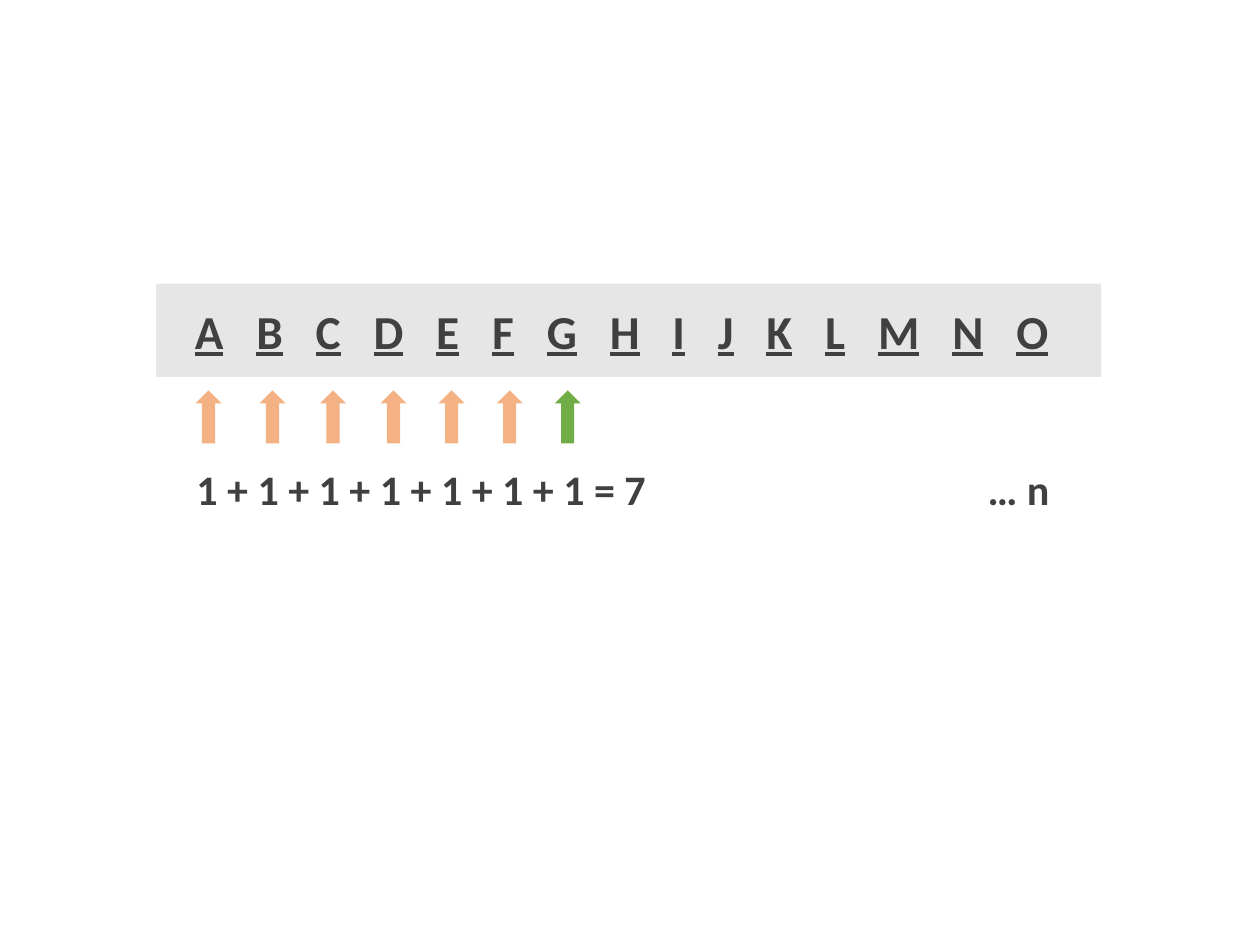
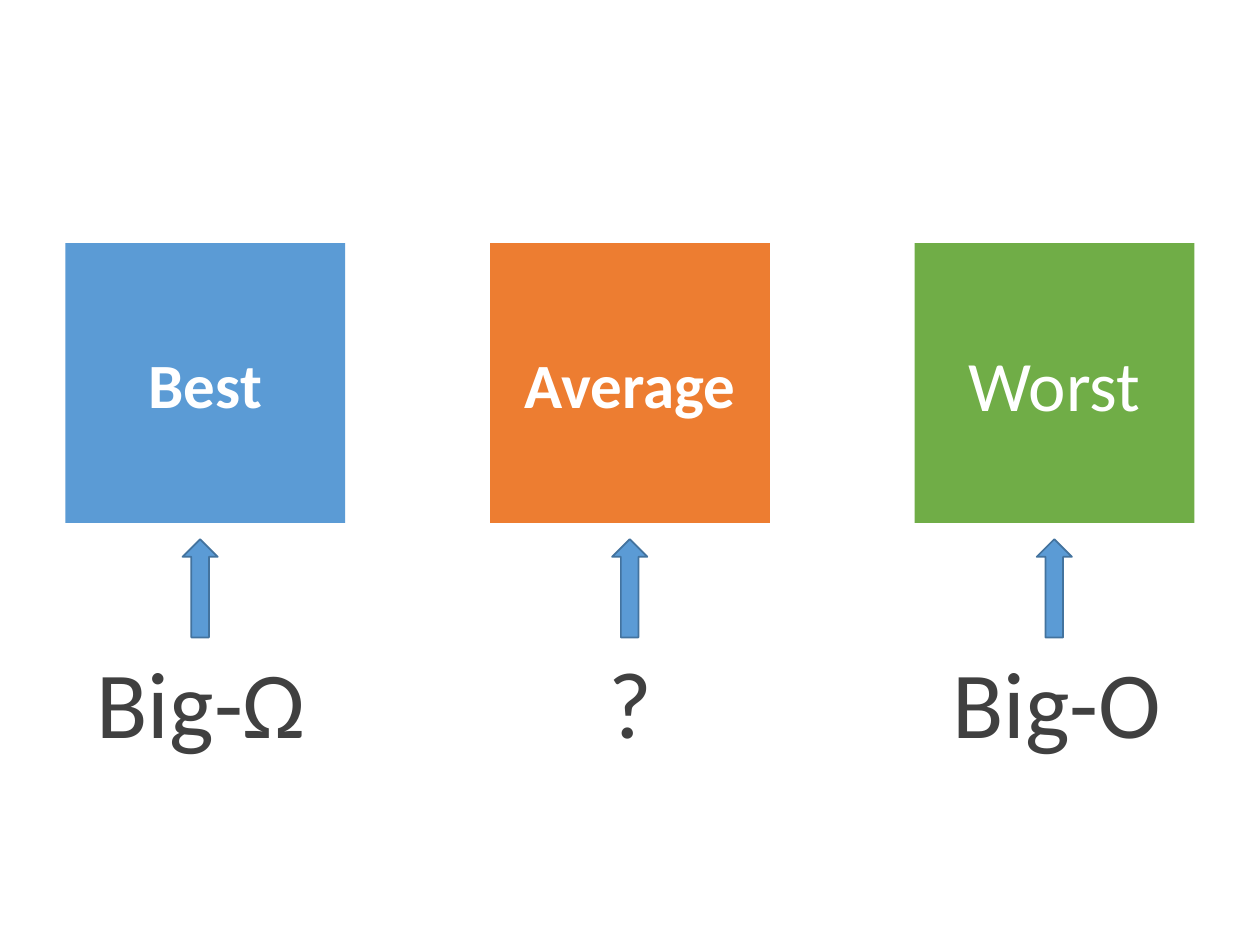
from pptx import Presentation
from pptx.dml.color import RGBColor
from pptx.enum.shapes import MSO_SHAPE
from pptx.enum.text import MSO_ANCHOR, MSO_AUTO_SIZE, PP_ALIGN
from pptx.util import Cm, Pt

RECTANGLE, UP_ARROW = MSO_SHAPE.RECTANGLE, MSO_SHAPE.UP_ARROW
MIDDLE, FIT_SHAPE = MSO_ANCHOR.MIDDLE, MSO_AUTO_SIZE.SHAPE_TO_FIT_TEXT
CENTER = PP_ALIGN.CENTER

FONT = "Calibri"
DARK, WHITE, PALE = "404040", "FFFFFF", "E7E6E6"
BLUE, BLUE_EDGE, ORANGE, PEACH, GREEN = "5B9BD5", "43739E", "ED7D31", "F4B183", "70AD47"


def rgb(code):
    """Turn a hex string into a colour."""
    return RGBColor.from_string(code)


def write(paragraph, text, size=24, color=DARK, bold=False, underline=False, spacing=None):
    """Add one formatted run; spacing is in points."""
    run = paragraph.add_run()
    run.text = text
    font = run.font
    font.name, font.size, font.bold, font.underline = FONT, Pt(size), bold, underline
    font.color.rgb = rgb(color)
    if spacing is not None:
        run._r.get_or_add_rPr().set("spc", str(round(spacing * 100)))


class Deck:
    """Hold the presentation, its style and the current slide."""

    def __init__(self):
        """Start a 4:3 presentation."""
        self.show = Presentation()
        self.show.slide_width, self.show.slide_height = Cm(25.4), Cm(19.05)
        self.slide = None

    def new_slide(self):
        """Add a blank white slide and make it current."""
        self.slide = self.show.slides.add_slide(self.show.slide_layouts[6])
        fill = self.slide.background.fill
        fill.solid()
        fill.fore_color.rgb = rgb(WHITE)

    def shape(self, kind, left, top, width, height, fill, edge=None):
        """Add a flat filled shape with an optional outline."""
        shape = self.slide.shapes.add_shape(kind, Cm(left), Cm(top), Cm(width), Cm(height))
        shape.shadow.inherit = False
        shape.fill.solid()
        shape.fill.fore_color.rgb = rgb(fill)
        if edge:
            shape.line.color.rgb = rgb(edge)
            shape.line.width = Pt(1)
        else:
            shape.line.fill.background()
        return shape

    def panel(self, left, top, width, height, fill):
        """Add a rectangle and return its frame, ready for centred text."""
        frame = self.shape(RECTANGLE, left, top, width, height, fill).text_frame
        frame.word_wrap = True
        frame.vertical_anchor = MIDDLE
        frame.paragraphs[0].alignment = CENTER
        return frame

    def label(self, text, left, top, width, height, wrap=False, **style):
        """Add a text box that fits its text."""
        frame = self.slide.shapes.add_textbox(Cm(left), Cm(top), Cm(width), Cm(height)).text_frame
        frame.word_wrap = wrap
        frame.auto_size = FIT_SHAPE
        write(frame.paragraphs[0], text, **style)


def linear_search(deck):
    """Count the steps needed to reach G in a row of letters."""
    deck.new_slide()
    row = deck.panel(3.15, 5.72, 19.05, 1.88, PALE)
    row.margin_right = Cm(0.54)
    for position, letter in enumerate("ABCDEFGHIJKLMNO"):
        if position:
            write(row.paragraphs[0], " ", size=27, bold=True, spacing=10.5)
        write(row.paragraphs[0], letter, size=27, bold=True, underline=True, spacing=2.2)

    step_lefts = [3.94, 5.23, 6.45, 7.67, 8.84, 10.01, 11.18]
    for left in step_lefts:
        color = GREEN if left == step_lefts[-1] else PEACH
        deck.shape(UP_ARROW, left, 7.87, 0.53, 1.07, color)

    steps = len(step_lefts)
    total = " + ".join(["1"] * steps) + f" = {steps}"
    deck.label(total, 3.71, 9.22, 9.65, 1.27, bold=True)
    deck.label("… n", 19.66, 9.22, 2.51, 1.27, wrap=True, bold=True)


def case_notation(deck):
    """Match each case with its notation."""
    deck.new_slide()
    cases = [
        ("Best", BLUE, 36, True, 3.68, "Big-Ω", 1.7, 4.78),
        ("Average", ORANGE, 36, True, 12.34, "?", 12.01, 1.4),
        ("Worst", GREEN, 40.5, False, 20.9, "Big-O", 18.95, 4.78),
    ]
    for column, (case, color, size, bold, arrow_left, notation, left, width) in enumerate(cases):
        square = deck.panel(1.32 + column * 8.56, 4.9, 5.64, 5.64, color)
        write(square.paragraphs[0], case, size=size, color=WHITE, bold=bold)
        deck.shape(UP_ARROW, arrow_left, 10.87, 0.71, 1.98, BLUE, BLUE_EDGE)
        deck.label(notation, left, 12.85, width, 2.57, size=54)


def main():
    """Build and save the slides."""
    deck = Deck()
    linear_search(deck)
    case_notation(deck)
    deck.show.save("out.pptx")


if __name__ == "__main__":
    main()
